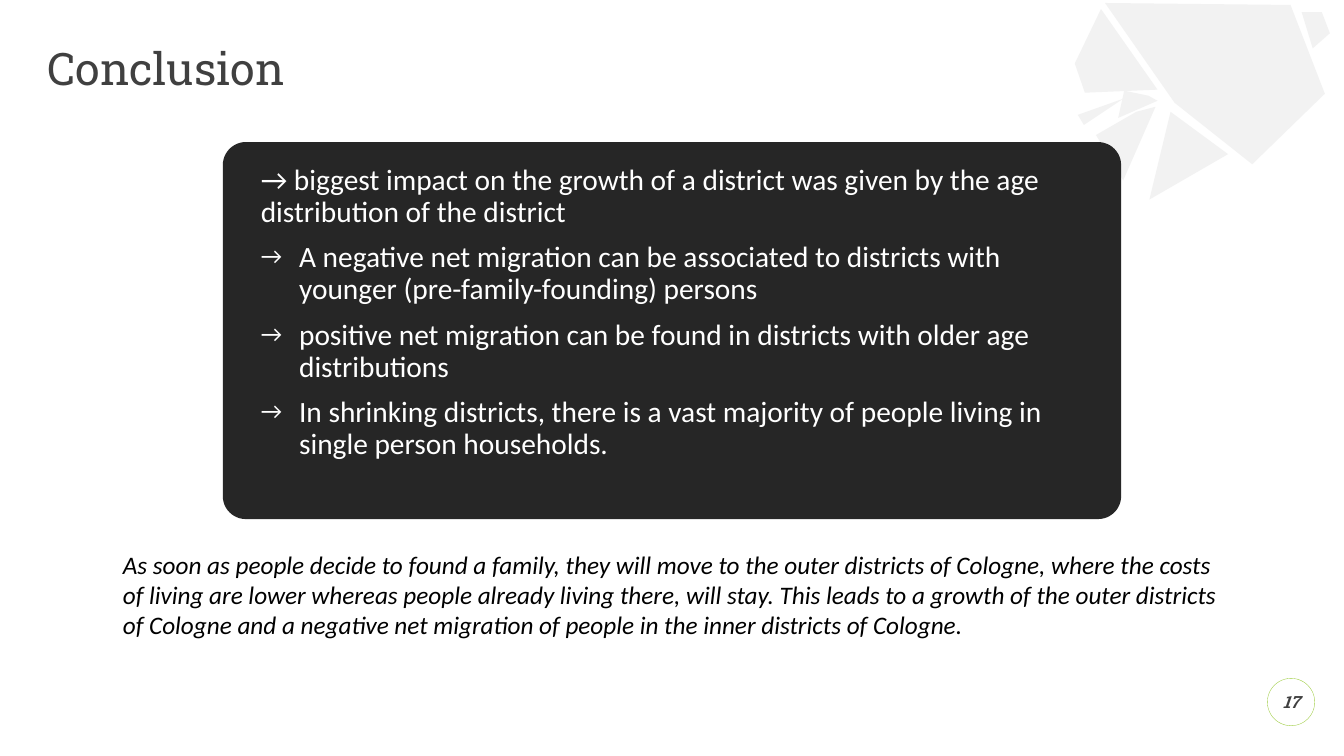
from dataclasses import dataclass

from lxml import etree
from pptx import Presentation
from pptx.dml.color import RGBColor
from pptx.enum.shapes import MSO_SHAPE as Shape
from pptx.enum.text import MSO_ANCHOR as Anchor, MSO_AUTO_SIZE as AutoSize, PP_ALIGN as Align
from pptx.oxml.ns import qn
from pptx.util import Inches, Pt


@dataclass(frozen=True)
class Theme:
    heading_font: str = "Roboto Slab"
    body_font: str = "Calibri"
    title_size: float = 32
    list_size: float = 21
    note_size: float = 18
    number_size: float = 12
    grey: str = "404040"
    panel: str = "262626"
    decoration: str = "F2F2F2"
    accent: str = "9ACB39"
    white: str = "FFFFFF"
    black: str = "000000"


class SlideBuilder:
    def __init__(self, presentation, theme):
        self.theme = theme
        self.slide = presentation.slides.add_slide(presentation.slide_layouts[1])
        self.shapes = self.slide.shapes

    def apply(self, target, values):
        for name, value in values.items():
            setattr(target, name, value)

    def place(self, shape, box):
        names = ("left", "top", "width", "height")
        self.apply(shape, dict(zip(names, map(Inches, box))))

    def frame(self, shape, insets, anchor):
        names = ("margin_left", "margin_top", "margin_right", "margin_bottom")
        self.apply(shape.text_frame, {
            "word_wrap": True, "auto_size": AutoSize.NONE, "vertical_anchor": anchor,
            **dict(zip(names, map(Inches, insets))),
        })

    def set_text(self, paragraph, text, font, size, color, layout=None, **styles):
        paragraph.text = text
        self.apply(paragraph, layout or {})
        self.apply(paragraph.font, {"name": font, "size": Pt(size), **styles})
        paragraph.font.color.rgb = RGBColor.from_string(color)

    def fill(self, shape, color):
        shape.fill.solid()
        shape.fill.fore_color.rgb = RGBColor.from_string(color)

    def bring_to_front(self, shape):
        self.shapes._spTree.append(shape._element)

    def shard(self, points):
        start, *rest = [(Inches(x), Inches(y)) for x, y in points]
        builder = self.shapes.build_freeform(*start)
        builder.add_line_segments(rest, close=True)
        shape = builder.convert_to_shape()
        shape.shadow.inherit = False
        self.fill(shape, self.theme.decoration)
        shape.line.fill.background()

    def title(self, text, box):
        title = self.shapes.title
        self.bring_to_front(title)
        self.place(title, box)
        self.frame(title, (0, 0, 0, 0), Anchor.MIDDLE)
        self.set_text(title.text_frame.paragraphs[0], text, self.theme.heading_font,
                      self.theme.title_size, self.theme.grey,
                      {"alignment": Align.LEFT, "line_spacing": 0.9})

    def bullet(self, paragraph, symbol, indent):
        properties = paragraph._p.get_or_add_pPr()
        properties.set("marL", str(indent))
        properties.set("indent", str(-indent))
        if symbol is None:
            etree.SubElement(properties, qn("a:buNone"))
            return
        etree.SubElement(properties, qn("a:buSzPct"), val="80000")
        etree.SubElement(properties, qn("a:buFont"), typeface=self.theme.body_font)
        etree.SubElement(properties, qn("a:buChar"), char=symbol)

    def list_panel(self, lead, items, box):
        panel = self.slide.placeholders[1]
        self.bring_to_front(panel)
        self.place(panel, box)
        # Rounded outline for the body placeholder
        geometry = etree.SubElement(panel._element.spPr, qn("a:prstGeom"), prst="roundRect")
        guides = etree.SubElement(geometry, qn("a:avLst"))
        etree.SubElement(guides, qn("a:gd"), name="adj", fmla="val 6100")
        self.fill(panel, self.theme.panel)
        self.frame(panel, (0.31, 0.16, 0.47, 0), Anchor.TOP)
        for index, text in enumerate([lead, *items]):
            frame = panel.text_frame
            paragraph = frame.add_paragraph() if index else frame.paragraphs[0]
            self.bullet(paragraph, "→" if index else None, Inches(0.38 if index else 0))
            self.set_text(paragraph, text, self.theme.body_font, self.theme.list_size,
                          self.theme.white, {"alignment": Align.LEFT, "line_spacing": 0.9,
                                             "space_before": Pt(10 if index else 0)})

    def note(self, text, box):
        note = self.shapes.add_textbox(*map(Inches, box))
        self.frame(note, (0.1, 0.05, 0.1, 0.05), Anchor.TOP)
        self.set_text(note.text_frame.paragraphs[0], text, self.theme.body_font,
                      self.theme.note_size, self.theme.black, italic=True)

    def page_number(self, text, box):
        badge = self.shapes.add_shape(Shape.OVAL, *map(Inches, box))
        badge.shadow.inherit = False
        badge.fill.background()
        badge.line.color.rgb = RGBColor.from_string(self.theme.accent)
        badge.line.width = Pt(0.25)
        self.frame(badge, (0, 0, 0, 0), Anchor.MIDDLE)
        self.set_text(badge.text_frame.paragraphs[0], text, self.theme.heading_font,
                      self.theme.number_size, self.theme.grey,
                      {"alignment": Align.CENTER}, bold=True, italic=True)


SHARDS = [
    [(12.42, 1.63), (11.65, 1.02), (10.96, 0.03), (12.8, 0.05), (13.14, 0.93)],
    [(10.92, 0.09), (11.48, 0.89), (10.76, 0.92), (10.66, 0.63)],
    [(10.75, 1.24), (10.69, 1.14), (11.14, 0.98)],
    [(13.02, 0.48), (12.91, 0.12), (13.11, 0.12), (13.19, 0.33)],
    [(12.18, 1.53), (11.4, 1.98), (11.61, 1.11)],
    [(11.14, 1.79), (10.87, 1.34), (11.27, 1.11), (11.46, 1.06)],
    [(11.09, 1.17), (11.15, 0.9), (11.39, 0.95), (11.48, 1)],
]
FINDINGS = [
    "A negative net migration can be associated to districts with younger "
    "(pre-family-founding) persons",
    "positive net migration can be found in districts with older age distributions",
    "In shrinking districts, there is a vast majority of people living in "
    "single person households.",
]


def main():
    presentation = Presentation()
    presentation.slide_width = Inches(13.33)
    presentation.slide_height = Inches(7.5)
    conclusion = SlideBuilder(presentation, Theme())

    # Corner decoration
    for points in SHARDS:
        conclusion.shard(points)

    # Title and page number
    conclusion.title("Conclusion", (0.47, 0.47, 12.4, 0.47))
    conclusion.page_number("17", (12.57, 6.73, 0.47, 0.47))

    # Findings
    conclusion.list_panel(
        "→ biggest impact on the growth of a district was given by the age "
        "distribution of the district", FINDINGS, (2.21, 1.41, 8.91, 3.74))

    # Closing remark
    conclusion.note(
        "As soon as people decide to found a family, they will move to the outer districts "
        "of Cologne, where the costs of living are lower whereas people already living there, "
        "will stay. This leads to a growth of the outer districts of Cologne and a negative "
        "net migration of people in the inner districts of Cologne.",
        (1.12, 5.4, 11.09, 1.01))
    presentation.save("out.pptx")


if __name__ == "__main__":
    main()
